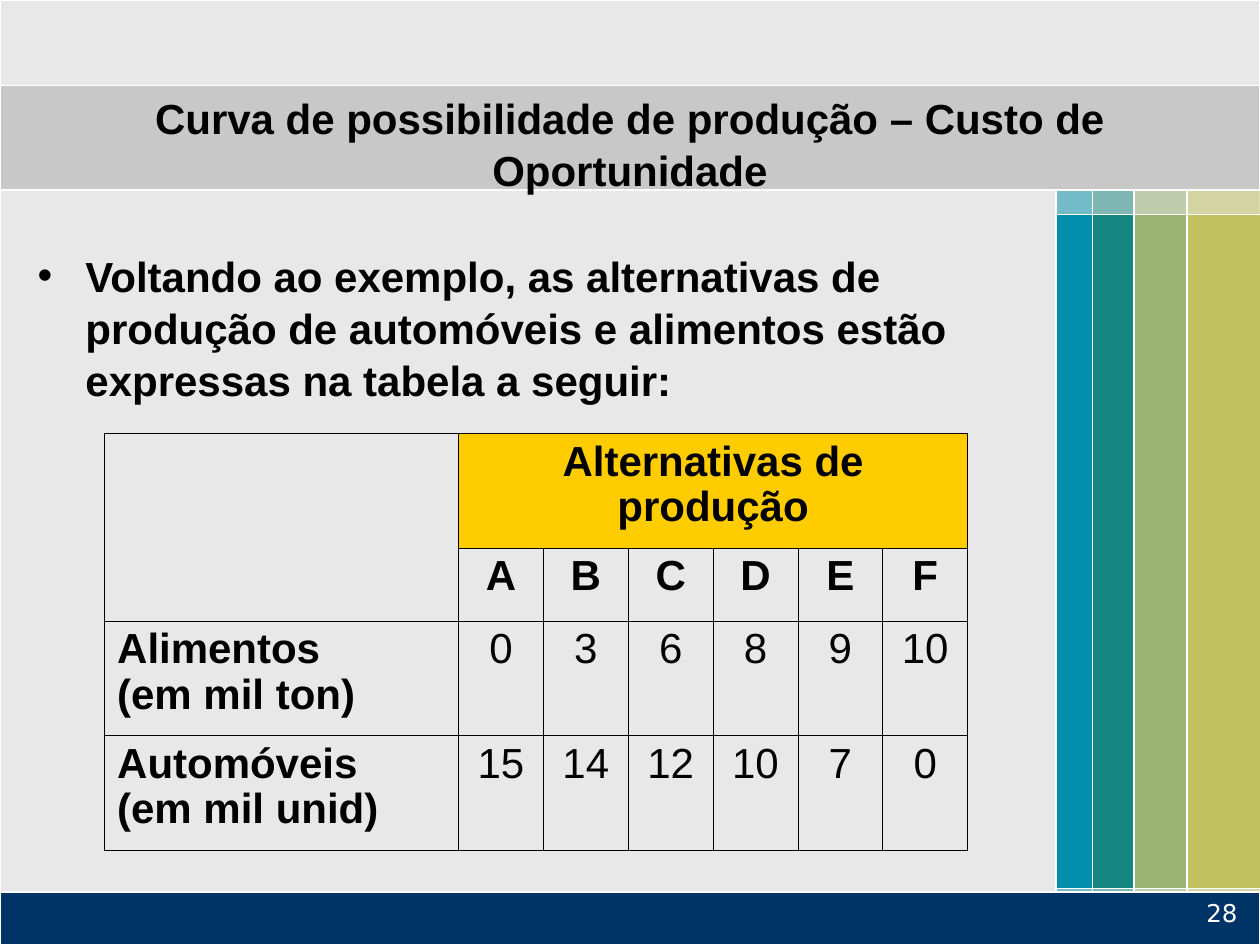
from lxml.etree import SubElement
from pptx import Presentation
from pptx.dml.color import RGBColor
from pptx.enum.shapes import MSO_SHAPE as Shape
from pptx.enum.text import MSO_ANCHOR as Anchor, PP_ALIGN as Align
from pptx.oxml.ns import qn
from pptx.util import Inches, Pt

WIDTH, HEIGHT = 10, 7.5
BLACK = RGBColor(0x00, 0x00, 0x00)
WHITE = RGBColor(0xFF, 0xFF, 0xFF)
PALE = RGBColor(0xE8, 0xE8, 0xE8)
GREY = RGBColor(0xC8, 0xC8, 0xC8)
NAVY = RGBColor(0x00, 0x33, 0x66)
YELLOW = RGBColor(0xFF, 0xCC, 0x00)
OLIVE = RGBColor(0xC2, 0xC2, 0x60)
GREEN = RGBColor(0x9A, 0xB3, 0x72)
TEAL = RGBColor(0x15, 0x86, 0x82)
BLUE = RGBColor(0x02, 0x8F, 0xAD)
STRIPES = [(BLUE, 0.29), (TEAL, 0.33), (GREEN, 0.42), (OLIVE, 0.59)]

BOLD = {"name": "Arial", "size": Pt(24), "bold": True}
PLAIN = {**BOLD, "bold": False}
NUMBER = {"name": "DejaVu Sans", "size": Pt(14)}

LETTERS = ["A", "B", "C", "D", "E", "F"]
OUTPUTS = [
    ("Alimentos\v(em mil ton)", [0, 3, 6, 8, 9, 10]),
    ("Automóveis\v(em mil unid)", [15, 14, 12, 10, 7, 0]),
]
ROWS = [0.91, 0.58, 0.91, 0.91]
LABEL_WIDTH = 2.81
THIN, THICK = Pt(0.45), Pt(1.08)


def write(para, text, style, align=Align.LEFT, color=BLACK, spacing=1.0):
    para.text = text
    para.alignment = align
    para.line_spacing = spacing
    for span in para.runs:
        span.font.color.rgb = color
        for name, value in style.items():
            setattr(span.font, name, value)


def add_panel(shapes, box, color, alpha=None):
    panel = shapes.add_shape(Shape.RECTANGLE, *map(Inches, box))
    panel.shadow.inherit = False
    panel.fill.solid()
    panel.fill.fore_color.rgb = color
    panel.line.color.rgb = WHITE
    panel.line.width = Pt(0.75)
    if alpha:
        tint = panel.fill._xPr.find(qn("a:solidFill"))[0]
        SubElement(tint, qn("a:alpha"), val=str(alpha * 1000))


def add_stripes(shapes, box, alpha=None):
    left, top, _, height = box
    for color, width in STRIPES:
        add_panel(shapes, (left, top, width, height), color, alpha)
        left += width


def add_backdrop(page):
    left = 8.38
    width = WIDTH - left
    add_panel(page.shapes, (0, 0, WIDTH, HEIGHT), PALE)
    add_stripes(page.shapes, (left, 1.42, width, 5.83), alpha=50)
    add_panel(page.shapes, (0, 7.08, WIDTH, 0.42), NAVY)
    add_panel(page.shapes, (0, 0.68, WIDTH, 0.83), GREY)
    add_stripes(page.shapes.add_group_shape().shapes, (left, 1.7, width, 5.35))


def add_text(page, box, text, style, anchor=Anchor.TOP, **layout):
    frame = page.shapes.add_textbox(*map(Inches, box)).text_frame
    frame.word_wrap = True
    frame.vertical_anchor = anchor
    write(frame.paragraphs[0], text, style, **layout)
    return frame.paragraphs[0]


def add_bullet(para, indent):
    props = para._p.get_or_add_pPr()
    props.set("marL", str(Inches(indent)))
    props.set("indent", str(-Inches(indent)))
    SubElement(props, qn("a:buFont"), typeface="Arial")
    SubElement(props, qn("a:buChar"), char="•")


def add_borders(cell, sides):
    props = cell._tc.get_or_add_tcPr()
    for side, width in sides.items():
        line = SubElement(props, qn(f"a:ln{side}"), w=str(width))
        fill = SubElement(line, qn("a:solidFill"))
        SubElement(fill, qn("a:srgbClr"), val=str(BLACK))


def add_production_table(page, box):
    row_count, col_count = len(ROWS), len(LETTERS) + 1
    table = page.shapes.add_table(row_count, col_count, *map(Inches, box)).table
    table.first_row = table.horz_banding = False
    for row, height in zip(table.rows, ROWS):
        row.height = Inches(height)
    value_width = (box[2] - LABEL_WIDTH) / len(LETTERS)
    for i, column in enumerate(table.columns):
        column.width = Inches(value_width if i else LABEL_WIDTH)

    for r in range(row_count):
        for c in range(col_count):
            cell = table.cell(r, c)
            add_borders(cell, {
                "L": THIN if c else THICK,
                "R": THICK if c == col_count - 1 else THIN,
                "T": THIN if r else THICK,
                "B": THICK if r == row_count - 1 else THIN,
            })
            cell.fill.background()

    def put(r, c, text, style, align=Align.CENTER):
        para = table.cell(r, c).text_frame.paragraphs[0]
        write(para, str(text), style, align, spacing=0.97)

    table.cell(0, 0).merge(table.cell(1, 0))
    heading = table.cell(0, 1)
    heading.merge(table.cell(0, col_count - 1))
    heading.fill.solid()
    heading.fill.fore_color.rgb = YELLOW
    put(0, 1, "Alternativas de produção", BOLD)
    for c, letter in enumerate(LETTERS, 1):
        put(1, c, letter, BOLD)
    for r, (label, values) in enumerate(OUTPUTS, 2):
        put(r, 0, label, BOLD, Align.LEFT)
        for c, value in enumerate(values, 1):
            put(r, c, value, PLAIN)


def main():
    deck = Presentation()
    deck.slide_width, deck.slide_height = Inches(WIDTH), Inches(HEIGHT)
    page = deck.slides.add_slide(deck.slide_layouts[6])
    add_backdrop(page)
    add_text(page, (0, 0.72, WIDTH, 0.83),
             "Curva de possibilidade de produção – Custo de Oportunidade",
             BOLD, Anchor.MIDDLE, align=Align.CENTER, spacing=1.04)
    intro = add_text(page, (0.2, 1.92, 8.11, 1.36),
                     "Voltando ao exemplo, as alternativas de produção de "
                     "automóveis e alimentos estão expressas na tabela a seguir:",
                     BOLD, spacing=1.04)
    add_bullet(intro, 0.38)
    add_production_table(page, (0.83, 3.44, 6.85, sum(ROWS)))
    add_text(page, (9.25, 7.08, 0.67, 0.5), "28", NUMBER,
             align=Align.RIGHT, color=WHITE)
    deck.save("out.pptx")


if __name__ == "__main__":
    main()
